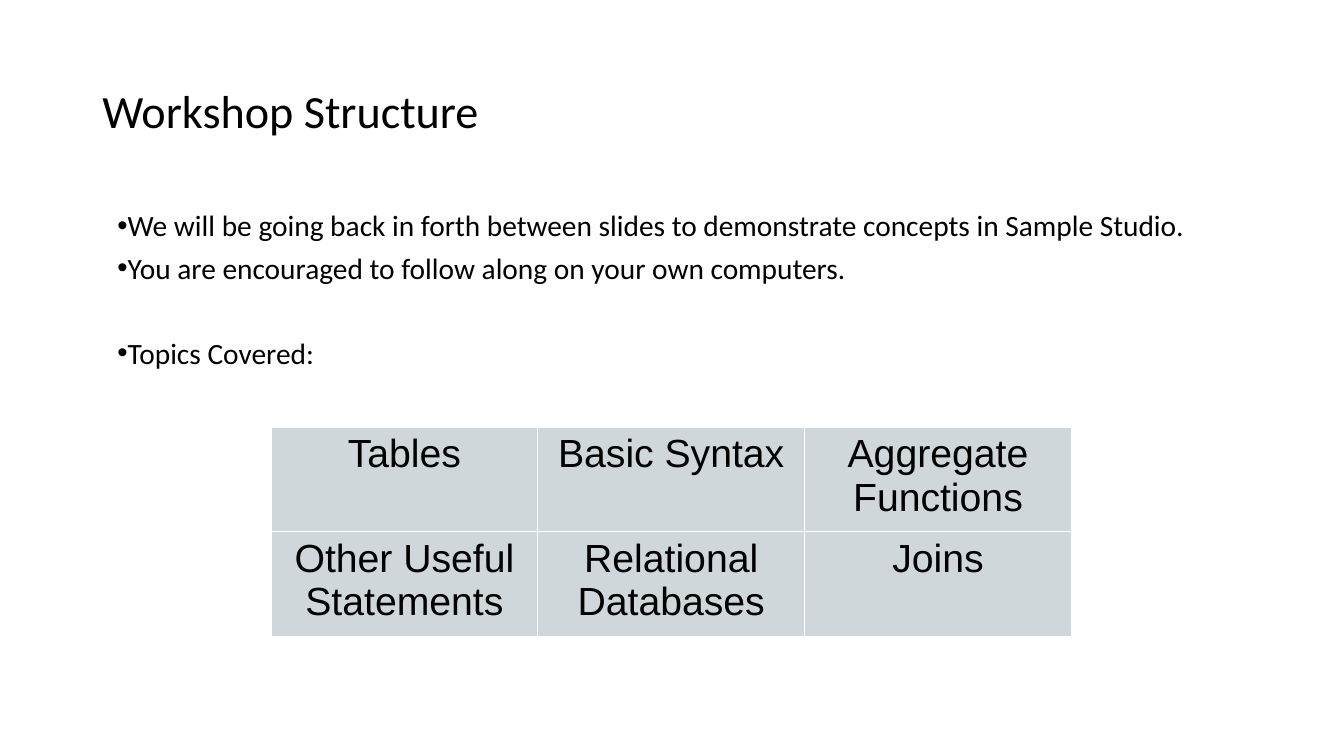
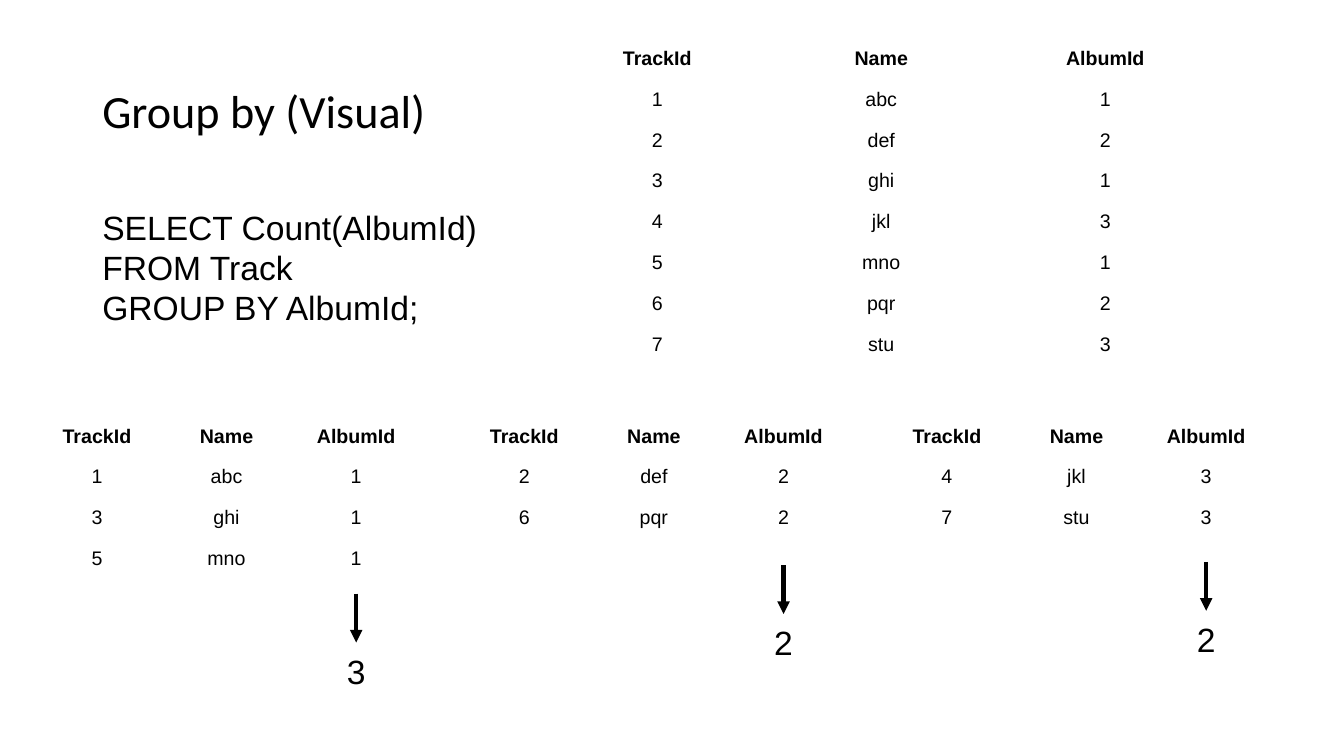
from lxml.etree import SubElement
from pptx import Presentation
from pptx.dml.color import RGBColor
from pptx.enum.shapes import MSO_CONNECTOR
from pptx.enum.text import MSO_ANCHOR, MSO_AUTO_SIZE, PP_ALIGN
from pptx.oxml.ns import qn
from pptx.util import Cm, Pt

BLACK = "000000"
WHITE = "FFFFFF"
TOPIC_FILL = "D0D7DB"
HEADING_FONT = "Calibri"
CONTENT_FONT = "Arial"
TITLE_LAYOUT = 5
CONTENT_LEFT = 2.33
ROW_HEIGHT = 1.03
HEADERS = ["TrackId", "Name", "AlbumId"]
TRACKS = [
    ["1", "abc", "1"],
    ["2", "def", "2"],
    ["3", "ghi", "1"],
    ["4", "jkl", "3"],
    ["5", "mno", "1"],
    ["6", "pqr", "2"],
    ["7", "stu", "3"],
]
TOPICS = [
    ["Tables", "Basic Syntax", "Aggregate Functions"],
    ["Other Useful Statements", "Relational Databases", "Joins"],
]


def color(hex_string):
    return RGBColor.from_string(hex_string)


def format_runs(paragraph, size, font_name, bold=False):
    for run in paragraph.runs:
        run.font.size = Pt(size)
        run.font.name = font_name
        run.font.bold = bold
        run.font.color.rgb = color(BLACK)


def set_insets(text_frame, inset):
    text_frame.margin_left = text_frame.margin_right = Cm(inset)
    text_frame.margin_top = text_frame.margin_bottom = Cm(inset)


def add_titled_slide(presentation, title):
    slide = presentation.slides.add_slide(presentation.slide_layouts[TITLE_LAYOUT])
    shape = slide.shapes.title
    shape.left, shape.top = Cm(CONTENT_LEFT), Cm(1.02)
    shape.width, shape.height = Cm(29.21), Cm(3.68)
    text_frame = shape.text_frame
    text_frame.text = title
    text_frame.word_wrap = True
    text_frame.auto_size = MSO_AUTO_SIZE.NONE
    text_frame.vertical_anchor = MSO_ANCHOR.MIDDLE
    set_insets(text_frame, 0.25)
    paragraph = text_frame.paragraphs[0]
    paragraph.alignment = PP_ALIGN.LEFT
    paragraph.line_spacing = 0.9
    format_runs(paragraph, 33, HEADING_FONT)
    return slide


def add_text(slide, left, top, width, height, text, size, font_name,
             wrap=True, alignment=PP_ALIGN.LEFT):
    shape = slide.shapes.add_textbox(Cm(left), Cm(top), Cm(width), Cm(height))
    text_frame = shape.text_frame
    text_frame.word_wrap = wrap
    text_frame.text = text
    for paragraph in text_frame.paragraphs:
        paragraph.alignment = alignment
        format_runs(paragraph, size, font_name)
    return text_frame


def add_bullets(slide, left, top, width, height, items):
    text = "\n".join(item for item, space_before in items)
    text_frame = add_text(slide, left, top, width, height, text, 21, HEADING_FONT)
    set_insets(text_frame, 0.25)
    for paragraph, (item, space_before) in zip(text_frame.paragraphs, items):
        paragraph.line_spacing = 0.9
        paragraph.space_before = Pt(space_before)
        properties = paragraph._p.get_or_add_pPr()
        properties.set("marL", str(Cm(0.48)))
        properties.set("indent", str(Cm(-0.1)))
        SubElement(properties, qn("a:buFont")).set("typeface", CONTENT_FONT)
        SubElement(properties, qn("a:buChar")).set("char", "•")


def add_cell_borders(cell):
    properties = cell._tc.get_or_add_tcPr()
    for position, side in enumerate(("a:lnL", "a:lnR", "a:lnT", "a:lnB")):
        line = properties.makeelement(qn(side), {"w": str(Pt(1))})
        fill = SubElement(line, qn("a:solidFill"))
        SubElement(fill, qn("a:srgbClr")).set("val", WHITE)
        properties.insert(position, line)


def add_grid(slide, left, top, width, row_height, rows, size,
             fill=None, bold_header=False):
    frame = slide.shapes.add_table(len(rows), len(rows[0]), Cm(left), Cm(top),
                                   Cm(width), Cm(row_height * len(rows)))
    table = frame.table
    table.first_row = False
    table.horz_banding = False
    for row_index, values in enumerate(rows):
        table.rows[row_index].height = Cm(row_height)
        for column_index, value in enumerate(values):
            cell = table.cell(row_index, column_index)
            if fill:
                cell.fill.solid()
                cell.fill.fore_color.rgb = color(fill)
                add_cell_borders(cell)
            else:
                cell.fill.background()
            cell.text_frame.text = value
            paragraph = cell.text_frame.paragraphs[0]
            paragraph.alignment = PP_ALIGN.CENTER
            format_runs(paragraph, size, CONTENT_FONT, bold_header and row_index == 0)


def add_track_table(slide, left, top, width, tracks):
    add_grid(slide, left, top, width, ROW_HEIGHT, [HEADERS] + tracks, 14,
             bold_header=True)


def add_arrow(slide, x, top, length):
    connector = slide.shapes.add_connector(MSO_CONNECTOR.STRAIGHT, Cm(x), Cm(top),
                                           Cm(x), Cm(top + length))
    connector.line.color.rgb = color(BLACK)
    connector.line.width = Pt(3)
    SubElement(connector.line._get_or_add_ln(), qn("a:tailEnd")).set("type", "triangle")
    SubElement(connector._element.spPr, qn("a:effectLst"))


def add_album_group(slide, left, top, width, album, arrow_gap):
    tracks = [track for track in TRACKS if track[-1] == album]
    add_track_table(slide, left, top, width, tracks)
    center = left + width * 5 / 6
    arrow_top = top + ROW_HEIGHT * (len(tracks) + 1) + arrow_gap
    arrow_length = 1.23
    add_arrow(slide, center, arrow_top, arrow_length)
    label_width = 1.85
    add_text(slide, center - label_width / 2, arrow_top + arrow_length + 0.08,
             label_width, 1.28, str(len(tracks)), 24, CONTENT_FONT,
             alignment=PP_ALIGN.CENTER)


def build_structure_slide(presentation):
    slide = add_titled_slide(presentation, "Workshop Structure")
    add_bullets(slide, CONTENT_LEFT, 5.08, 29.21, 12.09, [
        ("We will be going back in forth between slides to demonstrate concepts "
         "in Sample Studio.", 7.5),
        ("You are encouraged to follow along on your own computers.", 7.5),
        ("Topics Covered:", 38),
    ])
    add_grid(slide, 6.83, 10.77, 20.17, 2.63, TOPICS, 28, fill=TOPIC_FILL)


def build_group_by_slide(presentation):
    slide = add_titled_slide(presentation, "Group by (Visual)")
    add_text(slide, CONTENT_LEFT, 5.08, 10.06, 3.33,
             "SELECT Count(AlbumId)\nFROM Track\nGROUP BY AlbumId;",
             24, CONTENT_FONT, wrap=False)
    add_track_table(slide, 13.74, 1.07, 16.94, TRACKS)
    for album, left, arrow_gap in (("1", 0.81, 0.25), ("2", 11.58, 0.56),
                                   ("3", 22.23, 0.48)):
        add_album_group(slide, left, 10.59, 9.8, album, arrow_gap)


def main():
    presentation = Presentation()
    presentation.slide_width = Cm(33.87)
    presentation.slide_height = Cm(19.05)
    build_structure_slide(presentation)
    build_group_by_slide(presentation)
    presentation.save("out.pptx")


if __name__ == "__main__":
    main()
